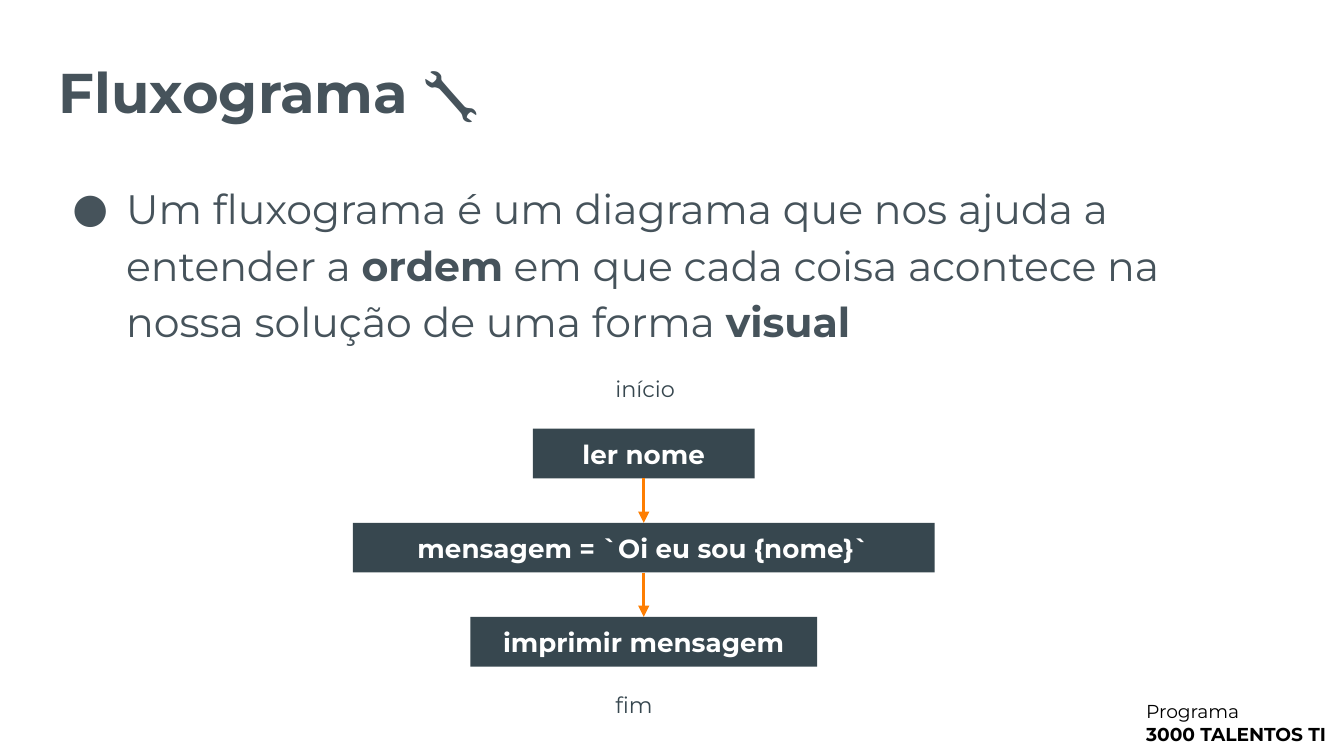
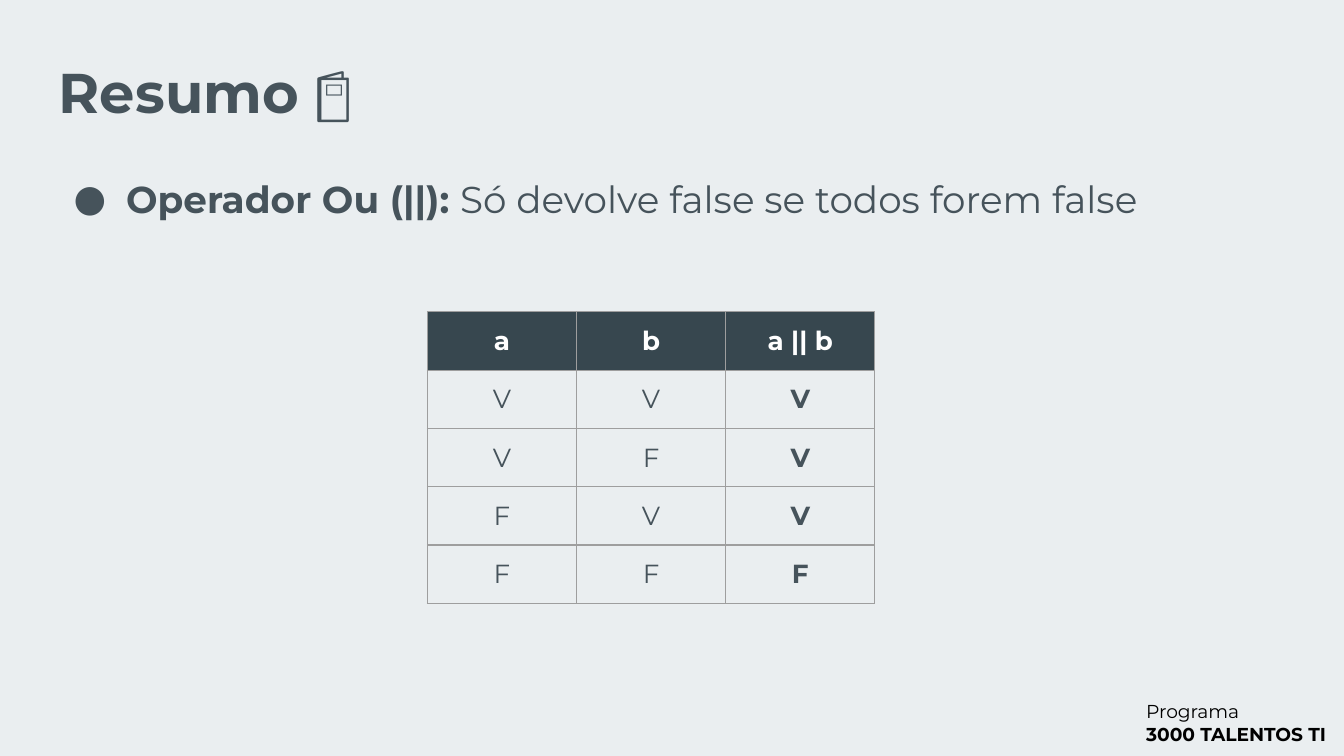
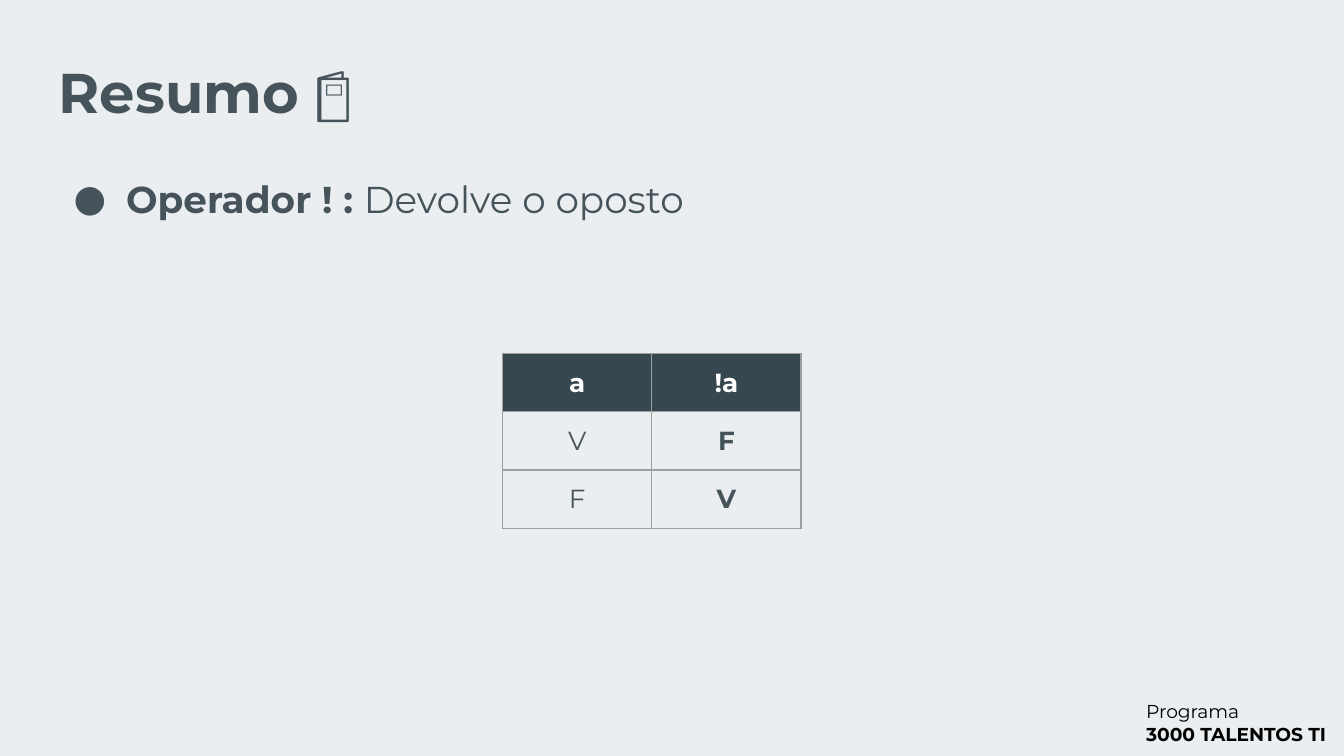
from pptx import Presentation
from pptx.dml.color import RGBColor
from pptx.enum.shapes import MSO_CONNECTOR, MSO_SHAPE
from pptx.enum.text import MSO_ANCHOR, MSO_AUTO_SIZE, PP_ALIGN
from pptx.oxml.ns import qn
from pptx.util import Inches, Pt
from lxml import etree

STRAIGHT = MSO_CONNECTOR.STRAIGHT
RECTANGLE = MSO_SHAPE.RECTANGLE
TOP, MIDDLE = MSO_ANCHOR.TOP, MSO_ANCHOR.MIDDLE
GROW, FIXED = MSO_AUTO_SIZE.SHAPE_TO_FIT_TEXT, MSO_AUTO_SIZE.NONE
LEFT, CENTER = PP_ALIGN.LEFT, PP_ALIGN.CENTER

FONT = "Montserrat"
WHITE, BLACK, MIST = "FFFFFF", "000000", "EAEEF0"
INK, SLATE, ORANGE, GRAY = "46535B", "37474F", "FE7E02", "9E9E9E"
COLUMNS, ROWS = 100, 56.25
MARGIN = 1
CELL_WIDTH, CELL_HEIGHT = 11.1, 4.2
STEP_HEIGHT, STEP_PITCH = 3.7, 7


def color(code):
    return RGBColor.from_string(code)


def apply(target, values):
    for name, value in values.items():
        setattr(target, name, value)


def add_node(parent, tag, **attributes):
    return etree.SubElement(parent, qn(tag), attributes)


class Deck:
    def __init__(self):
        self.deck = Presentation()
        apply(self.deck, {"slide_width": Inches(10), "slide_height": Inches(5.625)})
        self.page = None

    def x(self, columns):
        return round(self.deck.slide_width * columns / COLUMNS)

    def y(self, rows):
        return round(self.deck.slide_height * rows / ROWS)

    def area(self, left, top, width, height):
        return self.x(left), self.y(top), self.x(width), self.y(height)

    def add_page(self, background):
        self.page = self.deck.slides.add_slide(self.deck.slide_layouts[6])
        fill = self.page.background.fill
        fill.solid()
        fill.fore_color.rgb = color(background)
        self.text((84.3, 51.1, 17.4, 5.4),
                  [[("Programa", False)], [("3000 TALENTOS TI", True)]],
                  10, BLACK, fit=GROW)

    def frame(self, frame, anchor=TOP, fit=FIXED):
        side = self.x(MARGIN)
        apply(frame, {"word_wrap": True, "auto_size": fit, "vertical_anchor": anchor,
                      "margin_left": side, "margin_right": side,
                      "margin_top": side, "margin_bottom": side})

    def add_spans(self, para, spans, size, ink, align=LEFT):
        para.alignment = align
        for words, bold in spans:
            span = para.add_run()
            span.text = words
            apply(span.font, {"name": FONT, "size": Pt(size), "bold": bold})
            span.font.color.rgb = color(ink)

    def text(self, area, lines, size, ink, anchor=TOP, fit=FIXED):
        box = self.page.shapes.add_textbox(*self.area(*area))
        self.frame(box.text_frame, anchor, fit)
        for index, spans in enumerate(lines):
            para = box.text_frame.add_paragraph() if index else box.text_frame.paragraphs[0]
            self.add_spans(para, spans, size, ink)
        return box

    def title(self, words):
        self.text((3.4, 1.4, 85.7, 10.7), [[(words, True)]], 30, INK, anchor=MIDDLE)

    def bullet(self, spans, size, width, height, hanging, spacing=1.0):
        box = self.text((3.4, 12.1, width, height), [spans], size, INK)
        para = box.text_frame.paragraphs[0]
        properties = para._p.get_or_add_pPr()
        properties.set("marL", str(self.x(5)))
        properties.set("indent", str(-self.x(hanging)))
        add_node(add_node(properties, "a:buClr"), "a:srgbClr", val=INK)
        add_node(properties, "a:buFont", typeface=FONT)
        add_node(properties, "a:buChar", char="●")
        para.line_spacing = spacing

    def step(self, words, center, top, width):
        area = self.area(center - width / 2, top, width, STEP_HEIGHT)
        box = self.page.shapes.add_shape(RECTANGLE, *area)
        box.shadow.inherit = False
        box.fill.solid()
        box.fill.fore_color.rgb = color(SLATE)
        box.line.fill.background()
        self.frame(box.text_frame, MIDDLE)
        self.add_spans(box.text_frame.paragraphs[0], [(words, True)], 14, WHITE, CENTER)

    def arrow(self, center, start, end):
        connector = self.page.shapes.add_connector(
            STRAIGHT, self.x(center), self.y(start), self.x(center), self.y(end))
        connector.line.color.rgb = color(ORANGE)
        connector.line.width = Pt(1.5)
        outline = connector._element.spPr.find(qn("a:ln"))
        add_node(outline, "a:tailEnd", type="triangle")
        add_node(connector._element.spPr, "a:effectLst")

    def flow(self, steps, center, top):
        for index, (words, width) in enumerate(steps):
            step_top = top + index * STEP_PITCH
            self.step(words, center, step_top, width)
            if index:
                self.arrow(center, step_top - STEP_PITCH + STEP_HEIGHT, step_top)

    def label(self, words, top):
        self.text((44.8, top, 6.8, 4), [[(words, False)]], 12, SLATE, fit=GROW)

    def cell(self, cell, words, header, bold):
        side = self.x(MARGIN)
        apply(cell, {"margin_left": side, "margin_right": side,
                     "margin_top": side, "margin_bottom": side})
        properties = cell._tc.get_or_add_tcPr()
        for edge in ("a:lnL", "a:lnR", "a:lnT", "a:lnB"):
            border = add_node(properties, edge, w=str(Pt(0.75)))
            add_node(add_node(border, "a:solidFill"), "a:srgbClr", val=GRAY)
        if header:
            cell.fill.solid()
            cell.fill.fore_color.rgb = color(SLATE)
        else:
            cell.fill.background()
        self.add_spans(cell.text_frame.paragraphs[0], [(words, bold)], 14,
                       WHITE if header else INK, CENTER)

    def truth_table(self, left, top, rows):
        count = len(rows[0])
        area = self.area(left, top, CELL_WIDTH * count, CELL_HEIGHT * len(rows))
        table = self.page.shapes.add_table(len(rows), count, *area).table
        apply(table, {"first_row": False, "horz_banding": False})
        for row_index, row in enumerate(rows):
            for index, words in enumerate(row):
                header = row_index == 0
                self.cell(table.cell(row_index, index), words, header,
                          header or index == count - 1)

    def summary(self, term, meaning, left, top, rows):
        self.add_page(MIST)
        self.bullet([(term, True), (meaning, False)], 20, 85.7, 39.8, 3.9)
        self.title("Resumo 📓")
        self.truth_table(left, top, rows)


def main():
    show = Deck()

    show.add_page(WHITE)
    show.bullet([("Um fluxograma é um diagrama que nos ajuda a entender a ", False),
                 ("ordem", True),
                 (" em que cada coisa acontece na nossa solução de uma forma ", False),
                 ("visual", True)], 22, 91.2, 13.6, 4, 1.15)
    show.title("Fluxograma 🔧")
    show.flow([("ler nome", 16.5),
               ("mensagem = `Oi eu sou {nome}`", 43.3),
               ("imprimir mensagem", 25.8)], 47.9, 31.9)
    show.label("início", 26.9)
    show.label("fim", 50.4)

    show.summary("Operador Ou (||): ", "Só devolve false se todos forem false", 31.8, 23.2,
                 [("a", "b", "a || b"), "VVV", "VFV", "FVV", "FFF"])
    show.summary("Operador ! : ", "Devolve o oposto", 37.4, 26.3,
                 [("a", "!a"), "VF", "FV"])

    show.deck.save("out.pptx")


if __name__ == "__main__":
    main()
